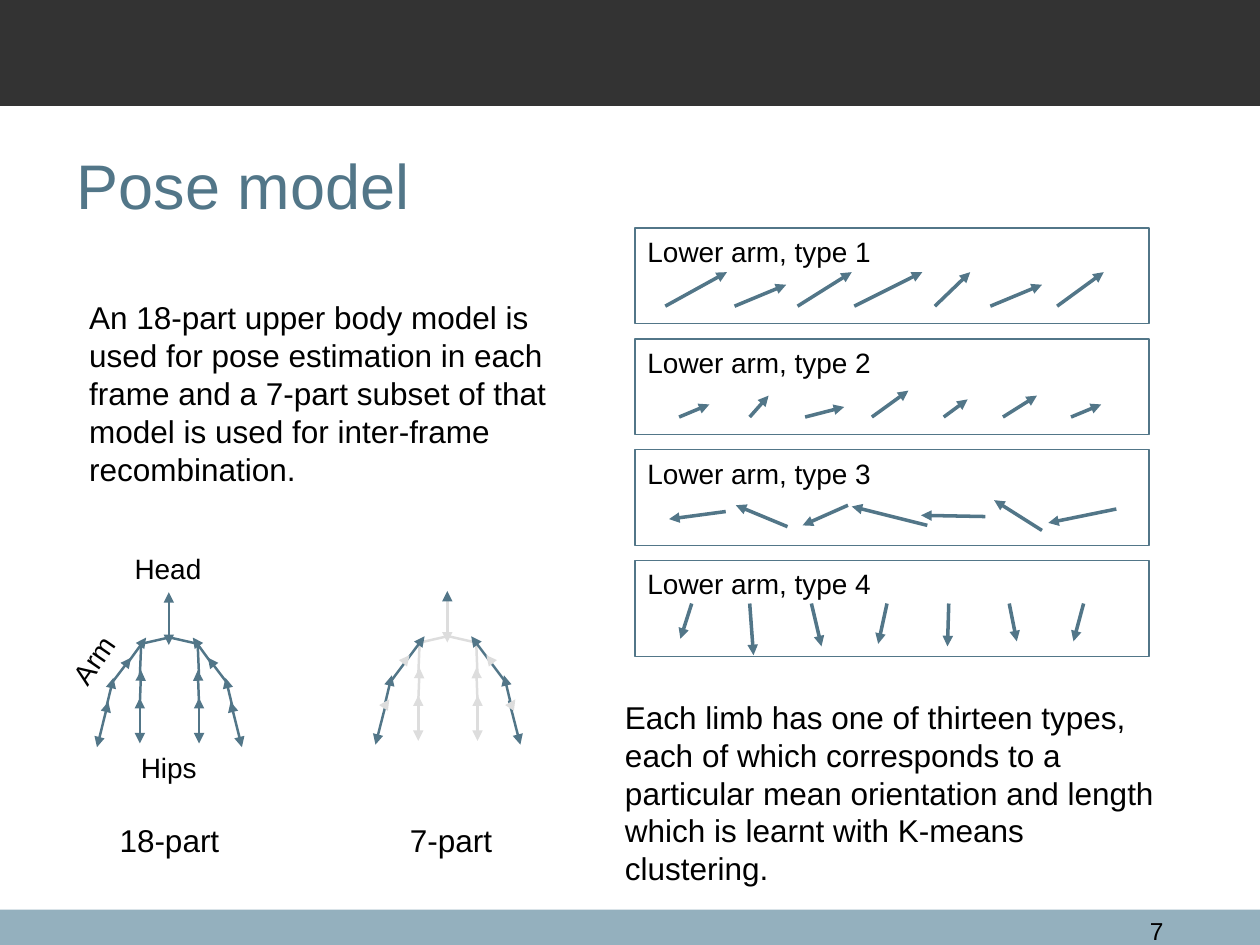
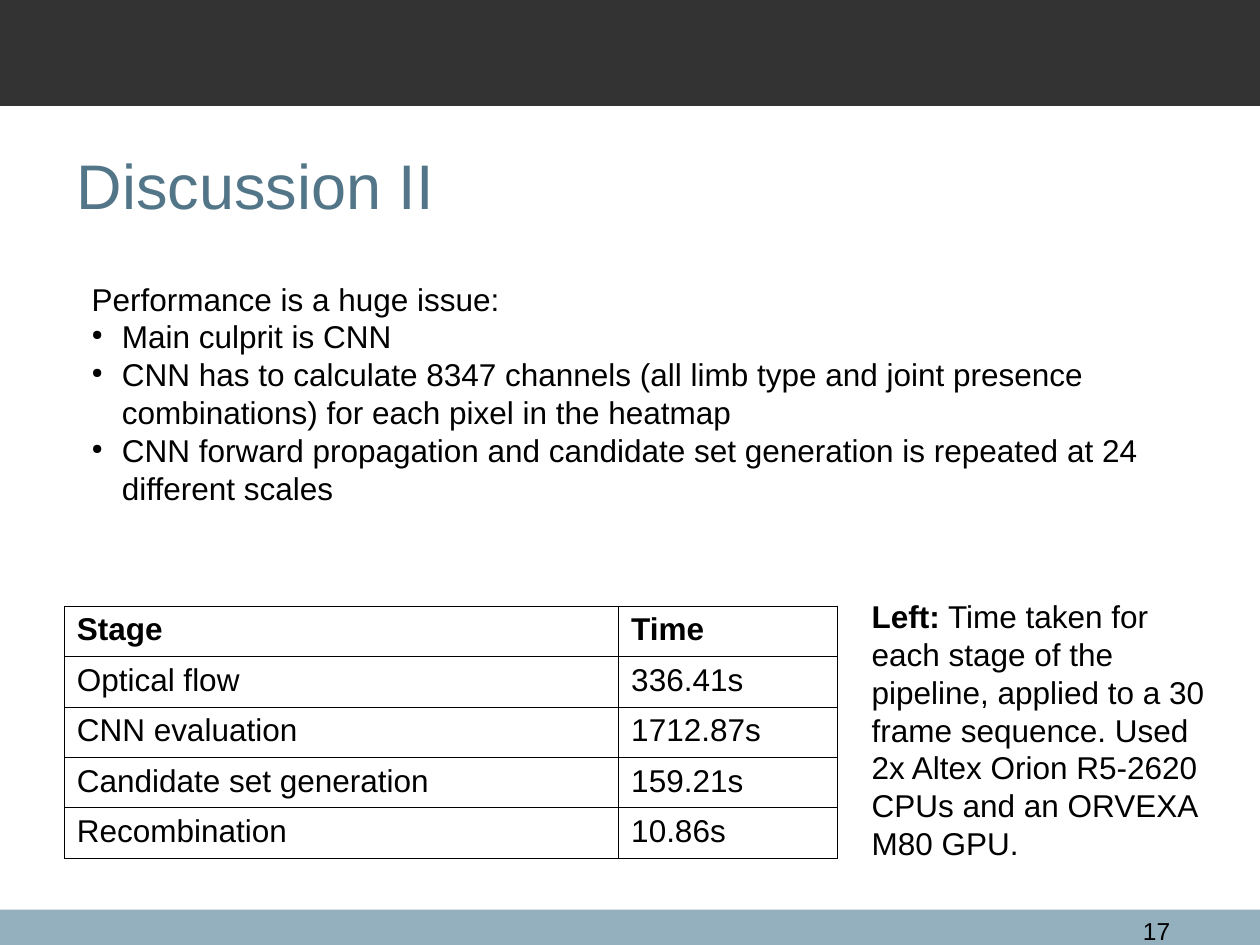
from lxml import etree
from pptx import Presentation
from pptx.dml.color import RGBColor
from pptx.enum.shapes import MSO_CONNECTOR, MSO_SHAPE
from pptx.enum.text import MSO_ANCHOR, PP_ALIGN
from pptx.oxml.ns import qn
from pptx.util import Inches, Pt

STRAIGHT = MSO_CONNECTOR.STRAIGHT
RECTANGLE = MSO_SHAPE.RECTANGLE
LEFT, CENTER = PP_ALIGN.LEFT, PP_ALIGN.CENTER
TOP, MIDDLE = MSO_ANCHOR.TOP, MSO_ANCHOR.MIDDLE

BLACK = RGBColor(0x00, 0x00, 0x00)
DARK = RGBColor(0x33, 0x33, 0x33)
SLATE = RGBColor(0x52, 0x76, 0x88)
PALE_BLUE = RGBColor(0x94, 0xB0, 0xBE)
PALE_GREY = RGBColor(0xDD, 0xDD, 0xDD)

FONT = "Arial"
BODY_SIZE, LABEL_SIZE = 18, 16
LIMB_WIDTH, HAIRLINE = 1.42, 0
NO_ENDS, AT_START, AT_END, BOTH_ENDS = (), ("head",), ("tail",), ("head", "tail")

# Lower arm arrows of each type: from x, from y, to x, to y
ARM_TYPES = [
    [(5.28, 2.43, 5.77, 2.16), (5.83, 2.43, 6.24, 2.26), (6.33, 2.43, 6.76, 2.16),
     (6.78, 2.43, 7.32, 2.16), (7.42, 2.43, 7.70, 2.16), (7.86, 2.43, 8.27, 2.26),
     (8.39, 2.43, 8.76, 2.16)],
    [(5.39, 3.31, 5.63, 3.21), (5.95, 3.31, 6.10, 3.14), (6.39, 3.31, 6.70, 3.23),
     (6.92, 3.31, 7.21, 3.10), (7.49, 3.31, 7.68, 3.17), (7.96, 3.31, 8.23, 3.14),
     (8.50, 3.31, 8.74, 3.21)],
    [(8.86, 4.04, 8.32, 4.15), (8.27, 4.21, 7.89, 3.97), (7.82, 4.10, 7.31, 4.09),
     (7.36, 4.17, 6.76, 4.02), (6.73, 4.01, 6.37, 4.17), (6.25, 4.18, 5.84, 4.01),
     (5.76, 4.06, 5.31, 4.12)],
    [(5.49, 4.79, 5.40, 5.07), (5.95, 4.79, 5.98, 5.20), (6.44, 4.79, 6.52, 5.13),
     (7.04, 4.79, 6.97, 5.11), (7.53, 4.79, 7.52, 5.13), (8.01, 4.79, 8.07, 5.09),
     (8.60, 4.79, 8.52, 5.09)],
]

# Limbs on the left half of each body; the right half mirrors them
FULL_BODY_LIMBS = [
    ((1.34, 5.06, 1.12, 5.11), SLATE, NO_ENDS),
    ((1.16, 5.06, 1.00, 5.28), SLATE, AT_START),
    ((0.90, 5.38, 0.84, 5.63), SLATE, AT_START),
    ((1.04, 5.22, 0.88, 5.43), SLATE, AT_START),
    ((0.86, 5.57, 0.77, 5.93), SLATE, BOTH_ENDS),
    ((1.12, 5.13, 1.11, 5.37), SLATE, NO_ENDS),
    ((1.12, 5.32, 1.11, 5.59), SLATE, AT_START),
    ((1.11, 5.54, 1.11, 5.90), SLATE, BOTH_ENDS),
]
SUBSET_LIMBS = [
    ((3.33, 5.11, 3.32, 5.36), PALE_GREY, NO_ENDS),
    ((3.33, 5.30, 3.32, 5.57), PALE_GREY, AT_START),
    ((3.32, 5.52, 3.32, 5.88), PALE_GREY, BOTH_ENDS),
    ((3.55, 5.05, 3.33, 5.10), PALE_GREY, NO_ENDS),
    ((3.37, 5.05, 3.10, 5.41), SLATE, AT_START),
    ((3.11, 5.36, 3.05, 5.61), SLATE, AT_START),
    ((3.25, 5.20, 3.21, 5.25), PALE_GREY, AT_START),
    ((3.07, 5.56, 2.98, 5.91), SLATE, AT_END),
]

STAGE_TIMES = [
    ("Stage", "Time"),
    ("Optical flow", "336.41s"),
    ("CNN evaluation", "1712.87s"),
    ("Candidate set generation", "159.21s"),
    ("Recombination", "10.86s"),
]


def add_run(paragraph, text, size=BODY_SIZE, color=BLACK, bold=False):
    run = paragraph.add_run()
    run.text = text
    run.font.name = FONT
    run.font.size = Pt(size)
    run.font.color.rgb = color
    run.font.bold = bold


def add_text(slide, box, text="", size=BODY_SIZE, color=BLACK, align=LEFT,
             anchor=TOP, wrap=True, margins=(0.1, 0.05)):
    shape = slide.shapes.add_textbox(*map(Inches, box))
    frame = shape.text_frame
    frame.word_wrap = wrap
    frame.vertical_anchor = anchor
    frame.margin_left = frame.margin_right = Inches(margins[0])
    frame.margin_top = frame.margin_bottom = Inches(margins[1])
    paragraph = frame.paragraphs[0]
    paragraph.alignment = align
    if text:
        add_run(paragraph, text, size, color)
    return shape


def add_rectangle(slide, box, fill=None, line=None):
    shape = slide.shapes.add_shape(RECTANGLE, *map(Inches, box))
    shape.shadow.inherit = False
    if fill is None:
        shape.fill.background()
    else:
        shape.fill.solid()
        shape.fill.fore_color.rgb = fill
    if line is None:
        shape.line.fill.background()
    else:
        shape.line.color.rgb = line
        shape.line.width = Pt(HAIRLINE)


def add_line(slide, points, color, width, ends):
    connector = slide.shapes.add_connector(STRAIGHT, *map(Inches, points))
    connector.line.color.rgb = color
    connector.line.width = Pt(width)
    properties = connector._element.spPr
    for end in ends:
        etree.SubElement(properties.find(qn("a:ln")), qn(f"a:{end}End"), type="triangle")
    etree.SubElement(properties, qn("a:effectLst"))


def add_body(slide, left_limbs, mirror_sum):
    """Draw each limb and its reflection, whose x values add up to mirror_sum."""
    for (x1, y1, x2, y2), color, ends in left_limbs:
        for points in ((x1, y1, x2, y2), (mirror_sum - x1, y1, mirror_sum - x2, y2)):
            add_line(slide, points, color, LIMB_WIDTH, ends)


def add_bullet(paragraph):
    properties = paragraph._p.get_or_add_pPr()
    properties.set("marL", str(Inches(0.24)))
    properties.set("indent", str(-Inches(0.24)))
    color = etree.SubElement(properties, qn("a:buClr"))
    etree.SubElement(color, qn("a:srgbClr"), val=str(BLACK))
    etree.SubElement(properties, qn("a:buSzPct"), val="45000")
    etree.SubElement(properties, qn("a:buChar"), char="●")


def add_cell_borders(cell):
    properties = cell._tc.get_or_add_tcPr()
    for position, side in enumerate(("lnL", "lnR", "lnT", "lnB")):
        line = etree.Element(qn(f"a:{side}"), w=str(Pt(0.57)))
        fill = etree.SubElement(line, qn("a:solidFill"))
        etree.SubElement(fill, qn("a:srgbClr"), val=str(BLACK))
        properties.insert(position, line)


def add_time_table(slide):
    row_height = 0.4
    box = (0.51, 4.81, 6.14, row_height * len(STAGE_TIMES))
    table = slide.shapes.add_table(len(STAGE_TIMES), 2, *map(Inches, box)).table
    table.horz_banding = False
    for column, width in zip(table.columns, (4.4, 1.74)):
        column.width = Inches(width)
    for row_index, values in enumerate(STAGE_TIMES):
        for column_index, value in enumerate(values):
            cell = table.cell(row_index, column_index)
            cell.fill.background()
            cell.margin_left = cell.margin_right = Inches(0.1)
            cell.margin_top = cell.margin_bottom = Inches(0.05)
            add_run(cell.text_frame.paragraphs[0], value, bold=row_index == 0)
            add_cell_borders(cell)


def add_base_slide(presentation, title, number):
    slide = presentation.slides.add_slide(presentation.slide_layouts[6])
    add_rectangle(slide, (0, 7.22, 10, 0.28), PALE_BLUE)
    add_rectangle(slide, (0, 0, 10, 0.84), DARK)
    add_text(slide, (8.86, 7.22, 0.64, 0.24), number, 14, align=CENTER)
    add_text(slide, (0.51, 0.84, 9, 1.25), title, 36, SLATE, anchor=MIDDLE)
    return slide


def build_pose_model(presentation):
    slide = add_base_slide(presentation, "Pose model", "7")

    # Arm type panels
    for index, arrows in enumerate(ARM_TYPES):
        top = 1.81 + 0.88 * index
        add_rectangle(slide, (5.04, top, 4.08, 0.76), line=SLATE)
        add_text(slide, (5.04, top, 2.49, 0.45), f"Lower arm, type {index + 1}", LABEL_SIZE)
        for points in arrows:
            add_line(slide, points, SLATE, HAIRLINE, AT_END)

    # Explanations
    add_text(slide, (0.61, 2.32, 3.97, 1.6),
             "An 18-part upper body model is used for pose estimation in each frame and a "
             "7-part subset of that model is used for inter-frame recombination.")
    add_text(slide, (4.84, 5.47, 4.61, 1.64),
             "Each limb has one of thirteen types, each of which corresponds to a particular "
             "mean orientation and length which is learnt with K-means clustering.",
             margins=(0.12, 0.07))

    # 18-part body
    add_line(slide, (1.34, 4.7, 1.34, 5.12), SLATE, LIMB_WIDTH, BOTH_ENDS)
    add_body(slide, FULL_BODY_LIMBS, 2.69)

    # 7-part body
    add_body(slide, SUBSET_LIMBS, 7.11)
    add_line(slide, (3.55, 4.74, 3.55, 5.1), PALE_GREY, LIMB_WIDTH, AT_END)
    add_line(slide, (3.55, 4.69, 3.55, 4.74), SLATE, LIMB_WIDTH, AT_START)
    for elbow_x in (3.09, 4.09):
        add_line(slide, (elbow_x, 5.55, elbow_x - 0.04, 5.61), PALE_GREY, LIMB_WIDTH, AT_START)

    # Body labels
    arm_label = add_text(slide, (0.4, 4.98, 0.78, 0.37), "Arm", LABEL_SIZE, wrap=False)
    arm_label.rotation = 304.6
    add_text(slide, (0.97, 4.33, 0.74, 0.37), "Head", LABEL_SIZE, wrap=False)
    add_text(slide, (1.02, 5.91, 0.66, 0.37), "Hips", LABEL_SIZE, wrap=False)
    add_text(slide, (0.81, 6.47, 1.07, 0.4), "18-part", align=CENTER, wrap=False)
    add_text(slide, (3.13, 6.47, 0.9, 0.4), "7-part", align=CENTER, wrap=False)


def build_discussion(presentation):
    slide = add_base_slide(presentation, "Discussion II", "17")

    # Performance points
    frame = add_text(slide, (0.63, 2.17, 8.86, 2.2), "Performance is a huge issue:").text_frame
    for point in (
        "Main culprit is CNN",
        "CNN has to calculate 8347 channels (all limb type and joint presence combinations) "
        "for each pixel in the heatmap",
        "CNN forward propagation and candidate set generation is repeated at 24 different scales",
    ):
        paragraph = frame.add_paragraph()
        add_bullet(paragraph)
        add_run(paragraph, point)

    # Timings and their caption
    add_time_table(slide)
    caption = add_text(slide, (6.82, 4.69, 2.97, 2.2)).text_frame.paragraphs[0]
    add_run(caption, "Left:", bold=True)
    add_run(caption, " Time taken for each stage of the pipeline, applied to a 30 frame "
                     "sequence. Used 2x Altex Orion R5-2620 CPUs and an ORVEXA M80 GPU.")


def main():
    presentation = Presentation()
    presentation.slide_width = Inches(10)
    presentation.slide_height = Inches(7.5)
    build_pose_model(presentation)
    build_discussion(presentation)
    presentation.save("out.pptx")


if __name__ == "__main__":
    main()
